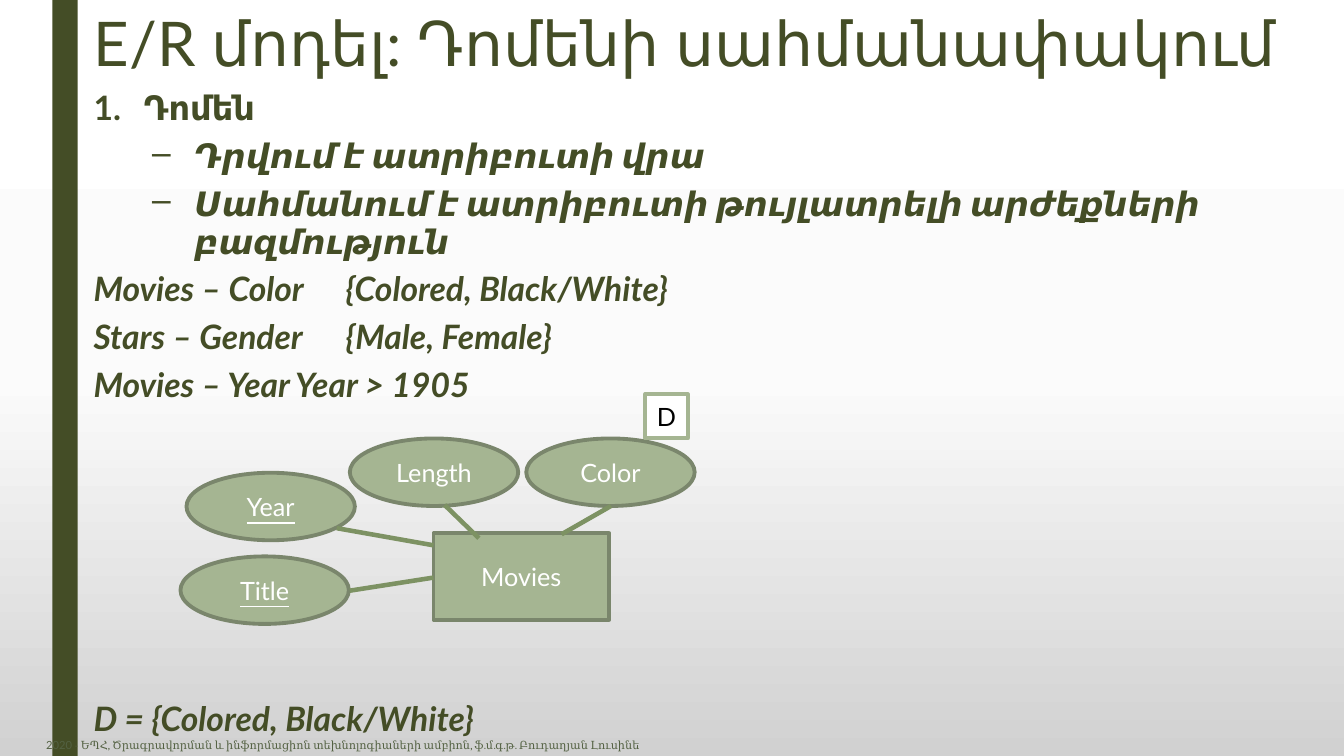
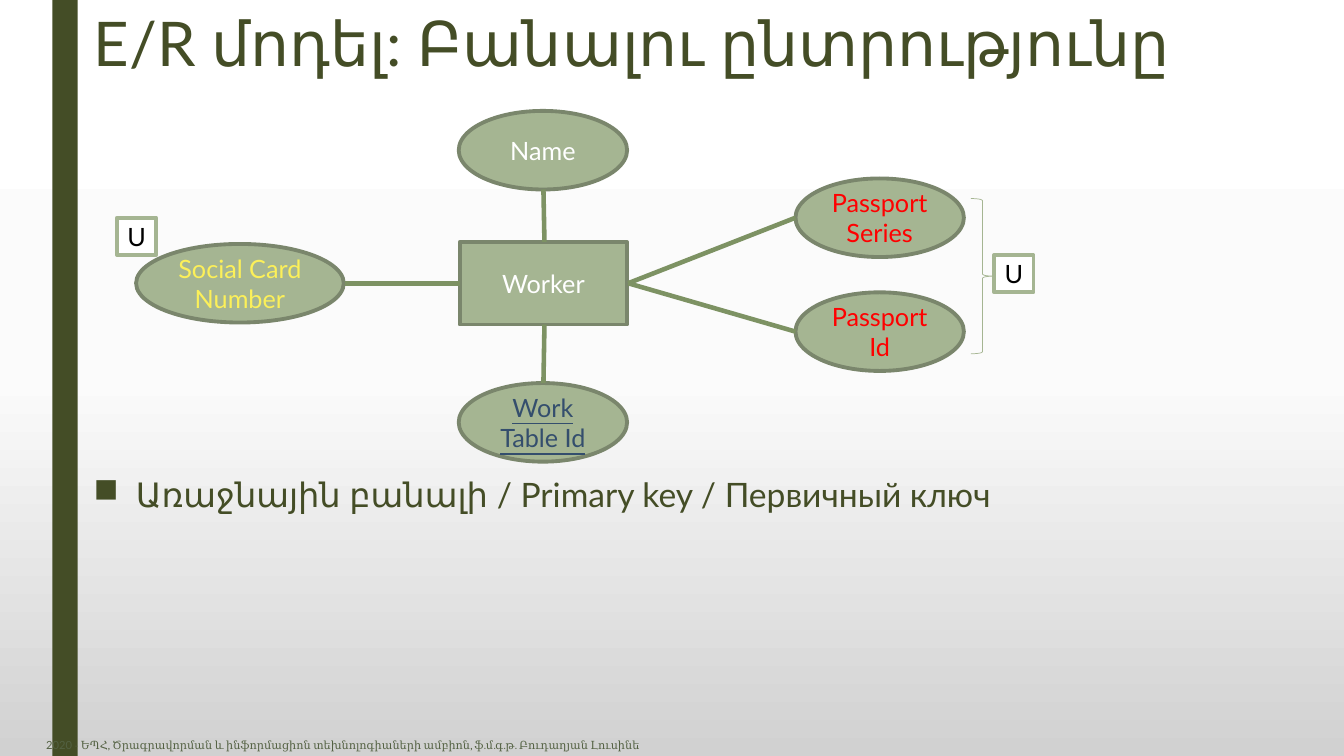
"""Build two slides on E/R models: domain constraints and key choice."""
from copy import deepcopy

from lxml.etree import SubElement
from pptx import Presentation
from pptx.dml.color import RGBColor
from pptx.enum.shapes import MSO_CONNECTOR as Link, MSO_SHAPE as Form
from pptx.enum.text import MSO_ANCHOR as Anchor, MSO_AUTO_SIZE as Auto, PP_ALIGN as Align
from pptx.oxml.ns import qn
from pptx.util import Inches, Pt

DARK, LEAF, EDGE, LINE = "444D26", "A5B592", "7A866C", "7D9263"
WHITE, BLACK, RED, GOLD, NAVY, GRAY = "FFFFFF", "000000", "FF0000", "FCF059", "344E6D", "536142"
BACK = [(0, "FFFFFF"), (0.5, "FBFBFB"), (1, "D1D1D1")]
FOOT = [
    ("2020", "Lato"),
    (" - ԵՊՀ, Ծրագրավորման և ինֆորմացիոն տեխնոլոգիաների ամբիոն, ֆ.մ.գ.թ. Բուդաղյան Լուսինե", "Cambria"),
]

NUM = dict(mark="1.", left=0.5, hang=0.5, before=10, bold=True)
DASH = dict(mark="–", left=1, hang=0.42, bold=True, italic=True)
ROW = dict(tab=3, bold=True, italic=True)
BOX = dict(mark="■", left=0.42, hang=0.42, before=10)

SMALL, TALL, WIDE = (1.67, 0.67), (1.67, 0.78), (2.06, 0.78)
KEY = dict(under=True)

SLIDES = [
    dict(
        title="E/R մոդել: Դոմենի սահմանափակում",
        body=[
            (0.85, [
                ("Դոմեն", NUM),
                ("Դրվում է ատրիբուտի վրա", DASH),
                ("Սահմանում է ատրիբուտի թույլատրելի արժեքների բազմություն", DASH),
                ("Movies – Color\t{Colored, Black/White}", ROW),
                ("Stars – Gender\t{Male, Female}", ROW),
                ("Movies – Year\tYear > 1905", ROW),
            ]),
            (6.91, [("D = {Colored, Black/White}", ROW)]),
        ],
        lines=[
            (4.3, 5.73, 3.47, 5.86),
            (6.06, 5.02, 5.57, 5.3),
            (4.3, 5.41, 3.34, 5.24),
            (4.75, 5.34, 4.41, 5.01),
        ],
        core=("Movies", 4.3, 5.29, 1.74, 0.86),
        nodes=[
            ("Title", 1.79, 5.52, SMALL, KEY),
            ("Year", 1.85, 4.69, SMALL, KEY),
            ("Length", 3.47, 4.35, SMALL, {}),
            ("Color", 5.22, 4.35, SMALL, {}),
        ],
        tags=[("D", 6.4, 3.91, 0.42, 0.44)],
        braces=[],
    ),
    dict(
        title="E/R մոդել: Բանալու ընտրությունը",
        body=[(4.68, [("Առաջնային բանալի / Primary key / Первичный ключ", BOX)])],
        lines=[
            (7.89, 3.29, 6.23, 2.81),
            (5.39, 3.8, 5.4, 3.22),
            (4.56, 2.81, 3.42, 2.81),
            (5.4, 2.4, 5.39, 1.88),
            (6.23, 2.81, 7.89, 2.16),
        ],
        core=("Worker", 4.56, 2.4, 1.66, 0.82),
        nodes=[
            ("Social Card Number", 1.35, 2.42, WIDE, dict(color=GOLD)),
            ("Name", 4.55, 1.1, TALL, {}),
            ("Work Table Id", 4.55, 3.8, TALL, dict(color=NAVY, under=True)),
            ("Passport Series", 7.89, 1.77, TALL, dict(color=RED)),
            ("Passport Id", 7.89, 2.9, TALL, dict(color=RED)),
        ],
        tags=[("U", 1.16, 2.16, 0.39, 0.37), ("U", 9.86, 2.53, 0.39, 0.37)],
        braces=[(9.63, 1.97, 0.23, 1.54)],
    ),
]


def rgb(code):
    return RGBColor.from_string(code)


def write(par, text, size=18, color=WHITE, font="Lato", bold=False, italic=False, under=False,
          align=Align.CENTER, space=None, before=0, after=0):
    par.alignment, par.line_spacing = align, space
    par.space_before, par.space_after = Pt(before), Pt(after)
    run = par.add_run()
    run.text = text
    face = run.font
    face.size, face.name, face.color.rgb = Pt(size), font, rgb(color)
    face.bold, face.italic, face.underline = bold, italic, under


def indent(par, mark=None, left=0, hang=0, tab=None):
    props = par._p.get_or_add_pPr()
    props.set("marL", str(Inches(left)))
    props.set("indent", str(-Inches(hang)))
    if mark:
        tint = SubElement(props, qn("a:buClr"))
        SubElement(tint, qn("a:srgbClr"), val=DARK)
    if mark == "1.":
        SubElement(props, qn("a:buAutoNum"), type="arabicPeriod")
    elif mark:
        SubElement(props, qn("a:buChar"), char=mark)
    if tab:
        stops = SubElement(props, qn("a:tabLst"))
        SubElement(stops, qn("a:tab"), pos=str(Inches(tab)), algn="l")


def textbox(slide, *area):
    frame = slide.shapes.add_textbox(*map(Inches, area)).text_frame
    frame.word_wrap = True
    return frame


def shape(slide, form, area, fill=None, edge=None, width=2.75, text=None, **fmt):
    item = slide.shapes.add_shape(form, *map(Inches, area))
    item.shadow.inherit = False
    if fill:
        item.fill.solid()
        item.fill.fore_color.rgb = rgb(fill)
    else:
        item.fill.background()
    if edge:
        item.line.color.rgb, item.line.width = rgb(edge), Pt(width)
    else:
        item.line.fill.background()
    if text:
        frame = item.text_frame
        frame.word_wrap, frame.vertical_anchor = True, Anchor.MIDDLE
        write(frame.paragraphs[0], text, **fmt)


def join(slide, ends):
    link = slide.shapes.add_connector(Link.STRAIGHT, *map(Inches, ends))
    link.line.color.rgb, link.line.width = rgb(LINE), Pt(3.25)
    SubElement(link._element.spPr, qn("a:effectLst"))


def backdrop(master):
    fill = master.background.fill
    fill.gradient()
    fill.gradient_angle = 270
    stops = master.element.find(".//" + qn("a:gsLst"))
    stops.append(deepcopy(stops[-1]))
    for stop, (place, code) in zip(fill.gradient_stops, BACK):
        stop.position, stop.color.rgb = place, rgb(code)


def frame_slide(slide, text):
    shape(slide, Form.RECTANGLE, (0.52, 0, 0.25, 7.5), DARK)
    title = slide.shapes.title
    title.left, title.top, title.width, title.height = map(Inches, (0.83, 0.08, 12.4, 0.76))
    frame = title.text_frame
    frame.auto_size, frame.vertical_anchor = Auto.NONE, Anchor.MIDDLE
    write(frame.paragraphs[0], text, size=44, color=DARK, align=Align.LEFT, space=0.89)
    foot = textbox(slide, 0, 7.28, 6.81, 0.23).paragraphs[0]
    for part, font in FOOT:
        write(foot, part, size=8, color=GRAY, font=font)


def body(slide, top, items):
    frame = textbox(slide, 0.83, top, 12.4, 0.48 * len(items))
    for num, (text, style) in enumerate(items):
        par = frame.add_paragraph() if num else frame.paragraphs[0]
        look = dict(size=24, color=DARK, align=Align.LEFT, space=0.94, before=5, after=2)
        place = {key: style[key] for key in ("mark", "left", "hang", "tab") if key in style}
        look.update((key, val) for key, val in style.items() if key not in place)
        write(par, text, **look)
        indent(par, **place)


def build(deck, data):
    slide = deck.slides.add_slide(deck.slide_layouts[5])
    frame_slide(slide, data["title"])
    for top, items in data["body"]:
        body(slide, top, items)
    name, *area = data["core"]
    shape(slide, Form.RECTANGLE, area, LEAF, EDGE, text=name)
    for name, left, top, size, look in data["nodes"]:
        shape(slide, Form.OVAL, (left, top, *size), LEAF, EDGE, text=name, **look)
    for ends in data["lines"]:
        join(slide, ends)
    for name, *area in data["tags"]:
        shape(slide, Form.RECTANGLE, area, WHITE, LEAF, text=name, color=BLACK)
    for area in data["braces"]:
        shape(slide, Form.RIGHT_BRACE, area, edge=LEAF, width=0.5)


def main():
    deck = Presentation()
    deck.slide_width, deck.slide_height = Inches(13.33), Inches(7.5)
    backdrop(deck.slide_master)
    for data in SLIDES:
        build(deck, data)
    deck.save("out.pptx")


if __name__ == "__main__":
    main()
